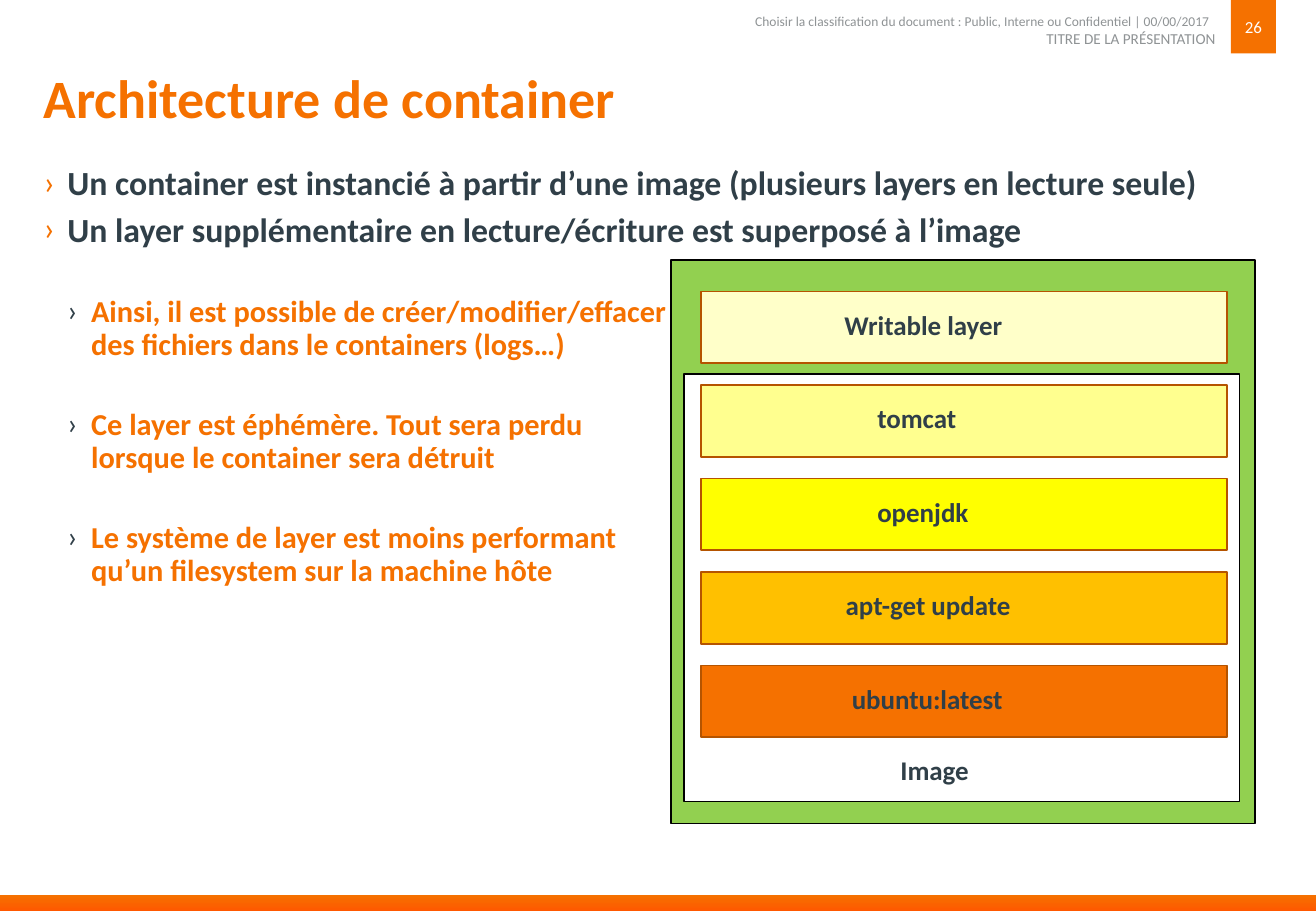
from collections import namedtuple

from lxml import etree
from pptx import Presentation
from pptx import util as u
from pptx.dml.color import RGBColor
from pptx.enum import shapes, text
from pptx.oxml.ns import qn

# Grid of square cells, 0.1 inch wide
CELL = u.Inches(0.1)
COLS, ROWS = 108.3, 75
FONT = "Calibri"
COLORS = {
    "orange": "F57100", "deep": "FF5800", "ink": "303F48", "grey": "8F9395",
    "white": "FFFFFF", "black": "000000", "green": "92D050", "edge": "B55400",
    "cream": "FFFFC9", "pale": "FFFF8F", "yellow": "FFFF00", "amber": "FFC000",
}
Box = namedtuple("Box", "x y w h")

# Layer name, fill, column where its label starts inside the bar
LAYERS = [
    ("Writable layer", "cream", 11.8),
    ("tomcat", "pale", 14.5),
    ("openjdk", "yellow", 14.5),
    ("apt-get update", "amber", 11.9),
    ("ubuntu:latest", "orange", 12.4),
]
POINTS = [
    "Un container est instancié à partir d’une image (plusieurs layers en lecture seule)",
    "Un layer supplémentaire en lecture/écriture est superposé à l’image",
]
CONSEQUENCES = [
    "Ainsi, il est possible de créer/modifier/effacer\ndes fichiers dans le containers (logs…)",
    "Ce layer est éphémère. Tout sera perdu\nlorsque le container sera détruit",
    "Le système de layer est moins performant\nqu’un filesystem sur la machine hôte",
]


def rgb(name):
    return RGBColor.from_string(COLORS[name])


def cells(*values):
    return [u.Emu(round(v * CELL)) for v in values]


def set_frame(tf, anchor, left=0, top=0, right=0, bottom=0):
    tf.word_wrap = True
    tf.vertical_anchor = anchor
    (tf.margin_left, tf.margin_top,
     tf.margin_right, tf.margin_bottom) = cells(left, top, right, bottom)


def write(p, content, size, color, bold=False, align=text.PP_ALIGN.LEFT):
    p.alignment = align
    for i, line in enumerate(content.split("\n")):
        if i:
            p.add_line_break()
        r = p.add_run()
        r.text = line
        r.font.name, r.font.size, r.font.bold = FONT, u.Pt(size), bold
        r.font.color.rgb = rgb(color)


def add_rect(slide, box, fill, line=None):
    sp = slide.shapes.add_shape(shapes.MSO_SHAPE.RECTANGLE, *cells(*box))
    sp.shadow.inherit = False
    sp.fill.solid()
    sp.fill.fore_color.rgb = rgb(fill)
    if line:
        sp.line.color.rgb = rgb(line)
        sp.line.width = u.Pt(1)
    else:
        sp.line.fill.background()
    return sp


def add_bullet(p, level, color):
    pPr = p._p.get_or_add_pPr()
    pPr.set("marL", str(u.Inches(0.195 * (level + 1))))
    pPr.set("indent", str(-u.Inches(0.195)))
    bu_clr = etree.SubElement(pPr, qn("a:buClr"))
    etree.SubElement(bu_clr, qn("a:srgbClr")).set("val", COLORS[color])
    etree.SubElement(pPr, qn("a:buFont")).set("typeface", FONT)
    etree.SubElement(pPr, qn("a:buChar")).set("char", "›")
    p.line_spacing = 0.9


def add_footer_band(slide, box):
    band = add_rect(slide, box, "orange")
    band.fill.gradient()
    band.fill.gradient_angle = 90
    for stop, color, at in zip(band.fill.gradient_stops, ("deep", "orange"), (0, 1)):
        stop.color.rgb = rgb(color)
        stop.position = at


def add_header(slide, box):
    number_w = 3.7
    lines = [
        ("Choisir la classification du document : Public, Interne ou Confidentiel | 00/00/2017",
         8, 1.1, 1.3, text.MSO_ANCHOR.MIDDLE, 1.4),
        ("TITRE DE LA PRÉSENTATION", 9, 1.1, 3.3, text.MSO_ANCHOR.BOTTOM, 1),
    ]
    for content, size, top, height, anchor, right in lines:
        tb = slide.shapes.add_textbox(
            *cells(box.x, box.y + top, box.w - number_w - 0.3, height))
        set_frame(tb.text_frame, anchor, 1, 0.5, right, 0.5)
        write(tb.text_frame.paragraphs[0], content, size, "grey",
              align=text.PP_ALIGN.RIGHT)
    page = add_rect(slide, Box(box.x + box.w - number_w, box.y, number_w, box.h), "orange")
    set_frame(page.text_frame, text.MSO_ANCHOR.MIDDLE, 0, 0.5, 0, 0.5)
    write(page.text_frame.paragraphs[0], "26", 10, "white", align=text.PP_ALIGN.CENTER)


def add_title(slide, box):
    title = slide.shapes.title
    title.left, title.top, title.width, title.height = cells(*box)
    set_frame(title.text_frame, text.MSO_ANCHOR.MIDDLE, 0, 0.5, 0, 0.5)
    p = title.text_frame.paragraphs[0]
    p.line_spacing = 0.9
    write(p, "Architecture de container", 32, "orange", bold=True)


def add_points(slide, box):
    tf = slide.shapes.add_textbox(*cells(*box)).text_frame
    set_frame(tf, text.MSO_ANCHOR.TOP)
    entries = ([(0, t, 20, "ink", "orange", 6) for t in POINTS]
               + [(1, t, 18, "orange", "ink", 28) for t in CONSEQUENCES])
    for i, (level, content, size, color, bullet, before) in enumerate(entries):
        p = tf.add_paragraph() if i else tf.paragraphs[0]
        p.level = level
        add_bullet(p, level, bullet)
        if i:
            p.space_before = u.Pt(before)
        write(p, content, size, color, bold=True)


def add_layer_stack(slide, box):
    add_rect(slide, box, "green", "black")
    image = add_rect(slide, Box(box.x + 1.1, box.y + 9.4, box.w - 2.4, 35.2),
                     "white", "black")
    set_frame(image.text_frame, text.MSO_ANCHOR.BOTTOM, left=17.8, bottom=1.3)
    write(image.text_frame.paragraphs[0], "Image", 16, "ink", bold=True)

    pitch = 7.7
    for i, (name, fill, label_col) in enumerate(LAYERS):
        bar = add_rect(slide, Box(box.x + 2.5, box.y + 2.6 + i * pitch, 43.3, 5.9),
                       fill, "edge")
        set_frame(bar.text_frame, text.MSO_ANCHOR.MIDDLE, left=label_col, bottom=0.5)
        write(bar.text_frame.paragraphs[0], name, 16, "ink", bold=True)


def main():
    prs = Presentation()
    prs.slide_width, prs.slide_height = cells(COLS, ROWS)
    slide = prs.slides.add_slide(prs.slide_layouts[5])
    add_footer_band(slide, Box(0, ROWS - 1.3, COLS, 1.3))
    add_layer_stack(slide, Box(55.2, 21.4, 48.1, 46.4))
    add_title(slide, Box(3.6, 4.6, 99.7, 7.5))
    add_points(slide, Box(3.6, 13.7, 100.4, 57.2))
    add_header(slide, Box(37.2, 0, 67.8, 4.4))
    prs.save("out.pptx")


if __name__ == "__main__":
    main()
